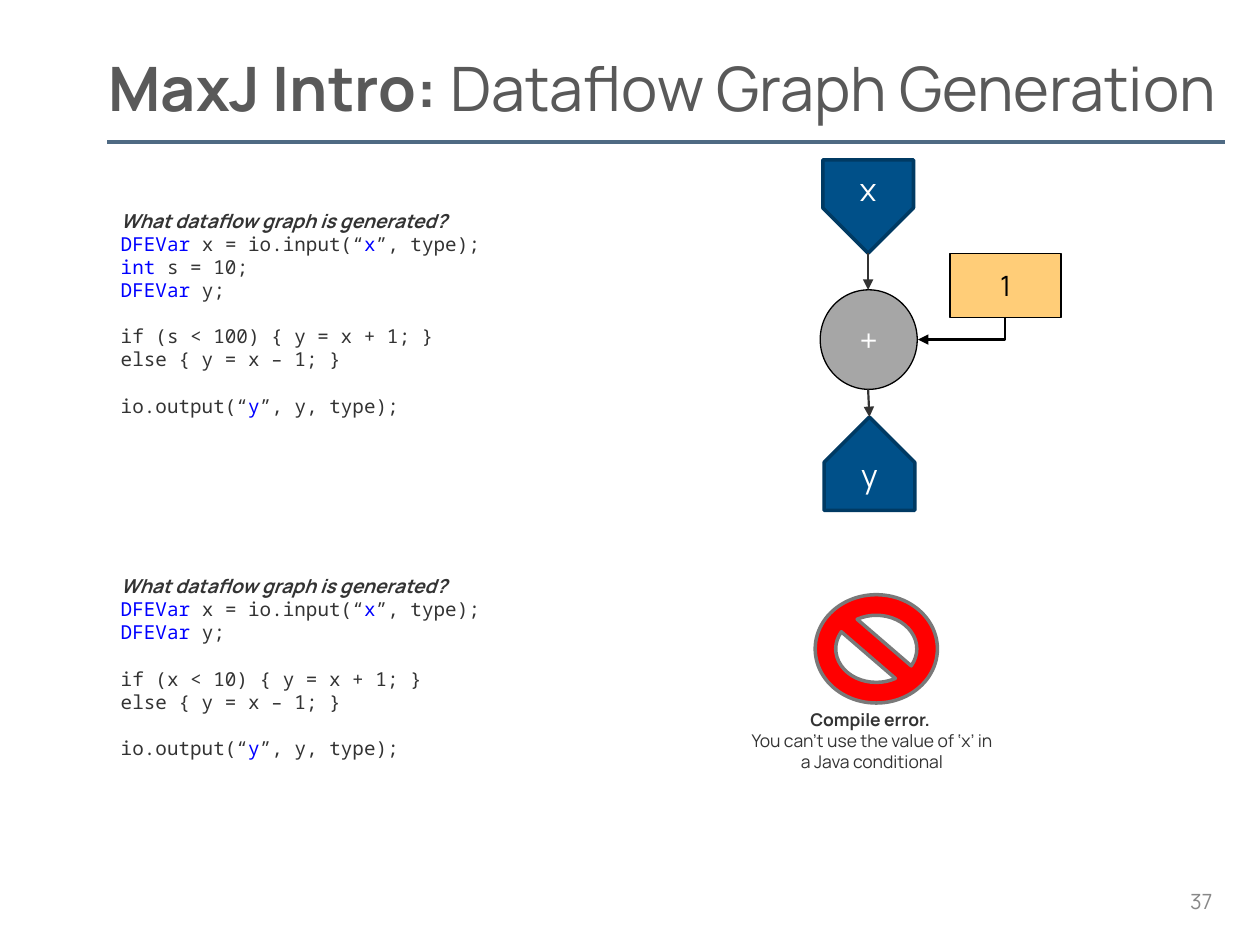
from dataclasses import dataclass

from pptx import Presentation
from pptx import util as u
from pptx.dml.color import RGBColor
from pptx.enum import shapes, text
from pptx.oxml.ns import qn
from lxml import etree


@dataclass(frozen=True)
class Theme:
    sans: str = "Manrope"
    mono: str = "Noto Sans Mono"
    title: str = "595959"
    rule: str = "4F6A83"
    body: str = "333333"
    keyword: str = "0000FF"
    number: str = "888888"
    white: str = "FFFFFF"
    black: str = "000000"
    port: str = "005089"
    port_edge: str = "003A63"
    operator: str = "A6A6A6"
    constant: str = "FFCD78"
    stop: str = "FF0000"
    stop_edge: str = "797979"
    title_size: int = 35
    node_size: int = 18
    constant_size: int = 16
    number_size: int = 12
    code_size: int = 11
    caption_size: int = 10
    leading: float = 1.2


theme = Theme()
PORT, OVAL = shapes.MSO_SHAPE.PENTAGON, shapes.MSO_SHAPE.OVAL
PROCESS, STOP = shapes.MSO_SHAPE.FLOWCHART_PROCESS, shapes.MSO_SHAPE.NO_SYMBOL
STRAIGHT, ELBOW = shapes.MSO_CONNECTOR.STRAIGHT, shapes.MSO_CONNECTOR.ELBOW
CENTER, RIGHT = text.PP_ALIGN.CENTER, text.PP_ALIGN.RIGHT


def add_span(para, words, size, color, font=theme.sans, bold=False, italic=False):
    span = para.add_run()
    span.text = words
    span.font.name, span.font.size = font, u.Pt(size)
    span.font.bold, span.font.italic = bold, italic
    span.font.color.rgb = RGBColor.from_string(color)


def add_line(kind, ends, color, width, arrow=True):
    line = slide.shapes.add_connector(kind, *map(u.Inches, ends))
    line.line.color.rgb = RGBColor.from_string(color)
    line.line.width = u.Pt(width)
    if arrow:
        etree.SubElement(line.line._get_or_add_ln(), qn("a:tailEnd"), type="triangle")
    etree.SubElement(line._element.spPr, qn("a:effectLst"))
    return line


deck = Presentation()
deck.slide_width, deck.slide_height = u.Inches(10), u.Inches(7.5)
slide = deck.slides.add_slide(deck.slide_layouts[5])

# Title, rule and page number
title = slide.shapes.title
title.left, title.top = u.Inches(0.86), u.Inches(0.36)
title.width, title.height = u.Inches(9), u.Inches(0.66)
frame = title.text_frame
frame.margin_left = frame.margin_right = frame.margin_top = frame.margin_bottom = 0
frame.vertical_anchor = text.MSO_ANCHOR.MIDDLE
frame.auto_size = text.MSO_AUTO_SIZE.NONE
para = frame.paragraphs[0]
para.alignment = text.PP_ALIGN.LEFT
add_span(para, "MaxJ Intro: ", theme.title_size, theme.title, bold=True)
add_span(para, "Dataflow Graph Generation", theme.title_size, theme.title)
add_line(STRAIGHT, (0.85, 1.13, 9.72, 1.13), theme.rule, 2.25, arrow=False)

# Code listings: (words, is keyword) spans, grouped into blocks of lines
declare_x = [("DFEVar", True), (" x = io.input(“", False), ("x", True), ("”, type);", False)]
declare_s = [("int", True), (" s = 10;", False)]
declare_y = [("DFEVar", True), (" y;", False)]
otherwise = [("else { y = x – 1; }", False)]
output = [("io.output(“", False), ("y", True), ("”, y, type);", False)]
listings = [
    (1.61, [[declare_x, declare_s, declare_y],
            [[("if (s < 100) { y = x + 1; }", False)], otherwise], [output]]),
    (4.51, [[declare_x, declare_y],
            [[("if (x < 10) { y = x + 1; }", False)], otherwise], [output]]),
]
code_pitch = u.Pt(theme.code_size * theme.leading)
for top, blocks in listings:
    box = slide.shapes.add_textbox(*map(u.Inches, (0.86, top, 5.09, 2.32)))
    box.text_frame.word_wrap = True
    para = box.text_frame.paragraphs[0]
    para.line_spacing = code_pitch
    add_span(para, "What dataflow graph is generated?", theme.code_size, theme.body,
             bold=True, italic=True)
    for block_index, block in enumerate(blocks):
        for line_index, spans in enumerate(block):
            para = box.text_frame.add_paragraph()
            para.line_spacing = code_pitch
            if block_index and not line_index:
                para.space_before = code_pitch
            for words, is_keyword in spans:
                add_span(para, words, theme.code_size,
                         theme.keyword if is_keyword else theme.body, theme.mono)

# Graph nodes and the stop sign: kind, place, rotation, fill, edge, edge width
nodes = [
    (PORT, (6.52, 1.28, 0.74, 0.72), 90, theme.port, theme.port_edge, 2),
    (OVAL, (6.51, 2.3, 0.77, 0.79), 0, theme.operator, theme.black, 0.75),
    (PROCESS, (7.54, 2.01, 0.88, 0.51), 0, theme.constant, theme.black, 0.75),
    (PORT, (6.53, 3.32, 0.74, 0.72), 270, theme.port, theme.port_edge, 2),
    (STOP, (6.47, 4.72, 0.97, 0.86), 0, theme.stop, theme.stop_edge, 2),
]
drawn = []
for kind, place, rotation, fill, edge, width in nodes:
    node = slide.shapes.add_shape(kind, *map(u.Inches, place))
    node.shadow.inherit = False
    node.rotation = rotation
    node.fill.solid()
    node.fill.fore_color.rgb = RGBColor.from_string(fill)
    node.line.color.rgb = RGBColor.from_string(edge)
    node.line.width = u.Pt(width)
    drawn.append(node)
operator, constant, stop_sign = drawn[1], drawn[2], drawn[4]
stop_sign.adjustments[0] = 0.19

# Labels; the input port is upside down, and so is its label
input_label = slide.shapes.add_textbox(*map(u.Inches, (6.53, 1.28, 0.72, 0.56)))
input_label.rotation = 180
output_label = slide.shapes.add_textbox(*map(u.Inches, (6.54, 3.49, 0.72, 0.56)))
page_number = slide.shapes.add_textbox(*map(u.Inches, (9.27, 6.95, 0.45, 0.4)))
labels = [
    (input_label, "x", theme.node_size, theme.white, CENTER),
    (operator, "+", theme.node_size, theme.white, CENTER),
    (constant, "1", theme.constant_size, theme.black, CENTER),
    (output_label, "y", theme.node_size, theme.white, CENTER),
    (page_number, "37", theme.number_size, theme.number, RIGHT),
]
for holder, words, size, color, alignment in labels:
    frame = holder.text_frame
    frame.word_wrap = True
    frame.vertical_anchor = text.MSO_ANCHOR.MIDDLE
    frame.paragraphs[0].alignment = alignment
    add_span(frame.paragraphs[0], words, size, color)

# Data flow arrows
add_line(STRAIGHT, (6.89, 2.01, 6.89, 2.3), theme.body, 1.25)
add_line(STRAIGHT, (6.89, 3.09, 6.9, 3.31), theme.body, 1.25)
# A single bend, turned by 90 degrees: down from the constant, then left
elbow = add_line(ELBOW, (7.54, 2.26, 7.72, 2.95), theme.black, 1.25)
elbow._element.spPr.find(qn("a:prstGeom")).set("prst", "bentConnector2")
elbow._element.spPr.find(qn("a:xfrm")).set("rot", str(90 * 60000))

# Error caption
caption = slide.shapes.add_textbox(*map(u.Inches, (5.86, 5.58, 2.12, 0.46)))
caption.text_frame.word_wrap = True
heading = caption.text_frame.paragraphs[0]
reason = caption.text_frame.add_paragraph()
add_span(heading, "Compile error. ", theme.caption_size, theme.body, bold=True)
add_span(reason, "You can’t use the value of ‘x’ in a Java conditional",
         theme.caption_size, theme.body)
for para in (heading, reason):
    para.alignment = CENTER
    para.line_spacing = u.Pt(theme.caption_size * theme.leading)

deck.save("out.pptx")
